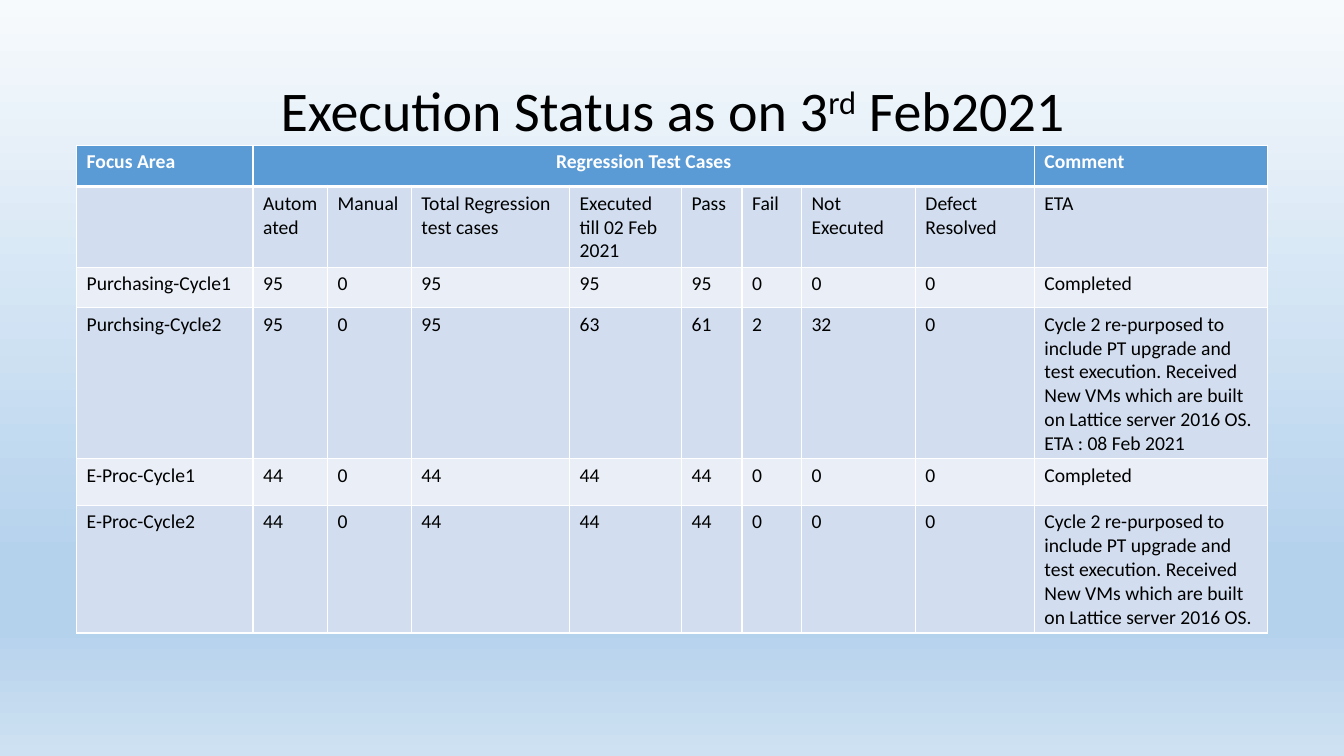
from lxml import etree
from pptx import Presentation
from pptx import util as u
from pptx.dml.color import RGBColor
from pptx.enum import text
from pptx.oxml.ns import qn

COLORS = {"header": "5B9BD5", "dark": "D2DEEF", "light": "EAEFF7",
          "white": "FFFFFF", "black": "000000"}
BACKGROUND = [(0, "F7FAFD"), (74, "B5D2EC"), (83, "B5D2EC"), (100, "CEE1F2")]
TITLE = [("Execution Status as on 3", 0), ("rd", 30), (" Feb2021", 0)]
NOTE = ("Cycle 2 re-purposed to include PT upgrade and test execution. "
        "Received New VMs which are built on Lattice server 2016 OS.")
ROWS = [
    ["Focus Area", "Regression Test Cases", "", "", "", "", "", "", "", "Comment"],
    ["", "Automated", "Manual", "Total Regression test cases",
     "Executed till 02 Feb 2021", "Pass", "Fail", "Not Executed",
     "Defect Resolved", "ETA"],
    ["Purchasing-Cycle1", 95, 0, 95, 95, 95, 0, 0, 0, "Completed"],
    ["Purchsing-Cycle2", 95, 0, 95, 63, 61, 2, 32, 0, NOTE + " ETA : 08 Feb 2021"],
    ["E-Proc-Cycle1", 44, 0, 44, 44, 44, 0, 0, 0, "Completed"],
    ["E-Proc-Cycle2", 44, 0, 44, 44, 44, 0, 0, 0, NOTE],
]
COL_WIDTHS = [1.75, 0.74, 0.83, 1.57, 1.11, 0.6, 0.59, 1.13, 1.18, 2.31]
ROW_HEIGHTS = [0.41, 0.41, 0.4, 0.41, 0.46, 0.41]


def add_run(p, words, color, **font):
    r = p.add_run()
    r.text = words
    for name, value in {"name": "Calibri", **font}.items():
        setattr(r.font, name, value)
    r.font.color.rgb = RGBColor.from_string(COLORS[color])
    return r


def add_color(parent, color):
    etree.SubElement(parent, qn("a:srgbClr"), val=color)


def set_borders(cell, widths):
    tc_pr = cell._tc.get_or_add_tcPr()
    for side, width in widths.items():
        ln = etree.SubElement(tc_pr, qn("a:ln" + side), w=str(u.Pt(width)))
        add_color(etree.SubElement(ln, qn("a:solidFill")), COLORS["white"])


prs = Presentation()
prs.slide_width, prs.slide_height = u.Inches(13.33), u.Inches(7.5)
s = prs.slides.add_slide(prs.slide_layouts[6])

fill = s.background.fill
fill.gradient()
fill.gradient_angle = 270
stops = s.element.find(".//" + qn("a:gsLst"))
stops.clear()
for share, color in BACKGROUND:
    add_color(etree.SubElement(stops, qn("a:gs"), pos=str(share * 1000)), color)

title = s.shapes.add_textbox(*map(u.Inches, (0.92, 0.4, 11.5, 1.45)))
tf = title.text_frame
tf.word_wrap = True
tf.vertical_anchor = text.MSO_ANCHOR.MIDDLE
p = tf.paragraphs[0]
p.alignment, p.line_spacing = text.PP_ALIGN.CENTER, 0.9
for words, raised in TITLE:
    r = add_run(p, words, "black", size=u.Pt(40))
    if raised:
        r.font._element.set("baseline", str(raised * 1000))

frame = s.shapes.add_table(len(ROWS), len(COL_WIDTHS), u.Inches(0.76), u.Inches(1.44),
                           u.Inches(sum(COL_WIDTHS)), u.Inches(sum(ROW_HEIGHTS)))
table = frame.table
for column, width in zip(table.columns, COL_WIDTHS):
    column.width = u.Inches(width)
for row, height in zip(table.rows, ROW_HEIGHTS):
    row.height = u.Inches(height)
table.cell(0, 1).merge(table.cell(0, 8))

for i, values in enumerate(ROWS):
    header = i == 0
    shade = "header" if header else ("dark" if i % 2 else "light")
    borders = {"L": 1, "R": 1, "T": 3 if i == 1 else 1, "B": 3 if header else 1}
    for j, value in enumerate(values):
        cell = table.cell(i, j)
        set_borders(cell, borders)
        cell.fill.solid()
        cell.fill.fore_color.rgb = RGBColor.from_string(COLORS[shade])
        if value != "":
            add_run(cell.text_frame.paragraphs[0], str(value),
                    "white" if header else "black", size=u.Pt(14), bold=header)
table.cell(0, 1).text_frame.paragraphs[0].alignment = text.PP_ALIGN.CENTER

prs.save("out.pptx")
